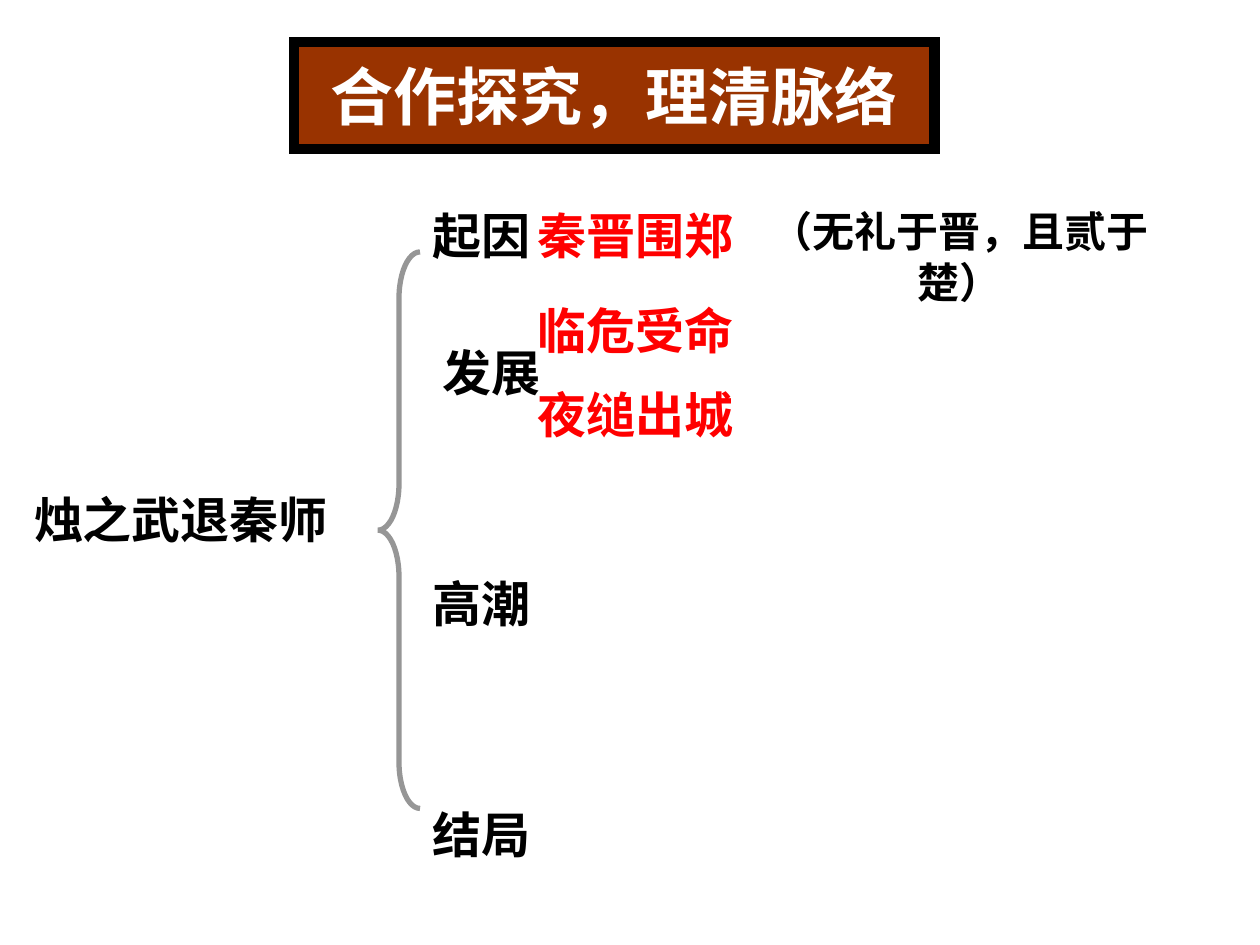
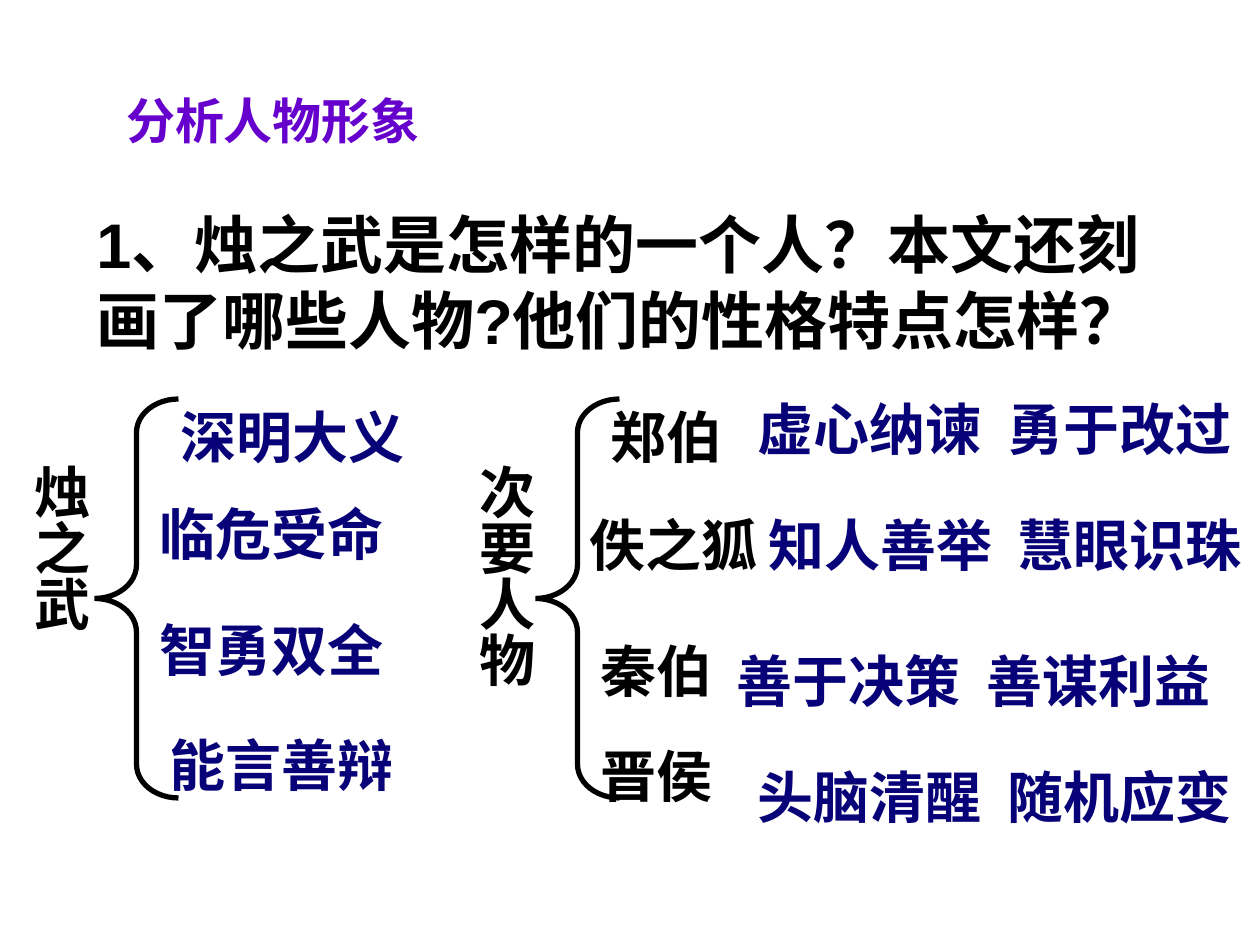
from dataclasses import dataclass, replace
from typing import NamedTuple

from lxml.etree import SubElement
from pptx import Presentation
from pptx.dml.color import RGBColor as Color
from pptx.enum.shapes import MSO_SHAPE as Shape
from pptx.enum.text import MSO_ANCHOR as Anchor, MSO_AUTO_SIZE as Fit, PP_ALIGN as Align
from pptx.oxml.ns import qn
from pptx.util import Inches, Pt

COLUMNS, ROWS = 120, 90
WIDTH, HEIGHT = Inches(10), Inches(7.5)


@dataclass(frozen=True)
class Theme:
    body_font: str = "Arial"
    title_font: str = "Noto Sans CJK SC"
    ink: str = "000000"
    paper: str = "FFFFFF"
    banner: str = "993300"
    event: str = "FF0000"
    trait: str = "080278"
    heading: str = "6600CC"
    grey: str = "969696"
    note_size: int = 24
    label_size: int = 28
    trait_size: int = 32
    title_size: int = 36
    line: int = 3
    frame: int = 6


THEME = Theme()


class Area(NamedTuple):
    """Place on the slide in grid columns and rows."""
    column: float
    row: float
    columns: float
    rows: float

    def lengths(self) -> tuple[int, int, int, int]:
        across, down = WIDTH / COLUMNS, HEIGHT / ROWS
        return (round(self.column * across), round(self.row * down),
                round(self.columns * across), round(self.rows * down))


@dataclass(frozen=True)
class Style:
    size: int
    color: str = THEME.ink
    font: str = THEME.body_font
    align: Align = Align.LEFT
    wrap: bool = True
    vertical: bool = False
    tab: float = 0
    indent: float = 0


class Label(NamedTuple):
    text: str
    area: Area
    style: Style


class Brace(NamedTuple):
    area: Area
    color: str
    curl: float


CENTERED = Style(THEME.label_size, align=Align.CENTER, wrap=False)
EVENT = replace(CENTERED, color=THEME.event)
NOTE = replace(CENTERED, size=THEME.note_size)
STORY = Style(THEME.label_size, font=THEME.title_font, indent=0.17)
TITLE = Style(THEME.title_size, THEME.paper, THEME.title_font, Align.CENTER)
HEADING = replace(CENTERED, color=THEME.heading, font=THEME.title_font)
QUESTION = Style(THEME.title_size)
NAME = Style(THEME.trait_size)
TRAIT = replace(NAME, color=THEME.trait)
TRAIT_PAIR = replace(TRAIT, tab=1.98)
GROUP = replace(NAME, vertical=True)

BANNER = Label("合作探究，理清脉络", Area(28, 4, 61, 10.2), TITLE)

PLOT_BRACE = Brace(Area(36, 24, 4, 53), THEME.grey, 1.1)
STAGES = [("起因", 40, 19), ("发展", 41, 32), ("高潮", 40, 54), ("结局", 40, 76)]
EVENTS = [("秦晋围郑", 19), ("临危受命", 28), ("夜缒出城", 36)]
PLOT_LABELS = [
    Label("烛之武退秦师", Area(0, 46, 38, 7.7), STORY),
    *(Label(text, Area(column, row, 11.7, 6.8), CENTERED)
      for text, column, row in STAGES),
    *(Label(text, Area(50, row, 21.1, 6.8), EVENT) for text, row in EVENTS),
    Label("（无礼于晋，且贰于楚）", Area(68.2, 19, 46.3, 6), NOTE),
]

CHARACTER_BRACES = [Brace(Area(column, 38, 8, 38), THEME.ink, 0.4)
                    for column in (9, 51)]
HERO_TRAITS = [("深明大义", 16, 37.7), ("临危受命", 14, 47),
               ("智勇双全", 14, 58), ("能言善辩", 15, 69)]
MINOR_NAMES = [("郑伯", 57, 37.7), ("佚之狐", 55, 48), ("秦伯", 56, 60), ("晋侯", 56, 70)]
MINOR_TRAITS = [("虚心纳谏\t勇于改过", 71, 37), ("知人善举\t慧眼识珠", 72, 48),
                ("善于决策\t善谋利益", 69, 61), ("头脑清醒\t随机应变", 71, 72)]
CHARACTER_LABELS = [
    Label("分析人物形象", Area(8, 8, 36, 8.9), HEADING),
    Label("1、烛之武是怎样的一个人？本文还刻画了哪些人物?他们的性格特点怎样？",
          Area(8, 19, 107, 15.6), QUESTION),
    Label("烛之武", Area(0.8, 43, 8.8, 32), GROUP),
    Label("次要人物", Area(43.1, 43, 8.8, 30), GROUP),
    *(Label(text, Area(column, row, width, 7.7), style)
      for items, width, style in ((HERO_TRAITS, 34, TRAIT), (MINOR_NAMES, 22, NAME),
                                  (MINOR_TRAITS, 50, TRAIT_PAIR))
      for text, column, row in items),
]


def write(shape, text: str, style: Style) -> None:
    frame = shape.text_frame
    frame.word_wrap = style.wrap
    frame.margin_left = Inches(0.1 + style.indent)
    if style.vertical:
        frame.margin_left = frame.margin_right = Inches(0.05)
        frame.margin_top = frame.margin_bottom = Inches(0.1)
        frame._txBody.bodyPr.set("vert", "eaVert")
    para = frame.paragraphs[0]
    para.add_run().text = text
    para.alignment = style.align
    properties = para._p.get_or_add_pPr()
    if style.tab:
        stops = SubElement(properties, qn("a:tabLst"))
        SubElement(stops, qn("a:tab"), pos=str(Inches(style.tab)), algn="l")
    font = para.font
    font.name, font.size, font.bold = style.font, Pt(style.size), True
    font.color.rgb = Color.from_string(style.color)
    SubElement(properties.find(qn("a:defRPr")), qn("a:ea"), typeface=style.font)


def add_label(page, label: Label) -> None:
    box = page.shapes.add_textbox(*label.area.lengths())
    box.text_frame.auto_size = Fit.SHAPE_TO_FIT_TEXT
    write(box, label.text, label.style)


def add_outlined(page, kind: Shape, area: Area, color: str, width: float):
    """Add a preset shape with a sharp-cornered outline."""
    shape = page.shapes.add_shape(kind, *area.lengths())
    shape.shadow.inherit = False
    shape.line.color.rgb = Color.from_string(color)
    shape.line.width = Pt(width)
    outline = shape._element.spPr.find(qn("a:ln"))
    SubElement(outline, qn("a:miter"), lim="800000")
    return shape


def add_banner(page, label: Label) -> None:
    banner = add_outlined(page, Shape.RECTANGLE, label.area, THEME.ink, THEME.frame)
    banner.fill.solid()
    banner.fill.fore_color.rgb = Color.from_string(THEME.banner)
    banner.text_frame.vertical_anchor = Anchor.MIDDLE
    write(banner, label.text, label.style)


def add_brace(page, brace: Brace) -> None:
    shape = add_outlined(page, Shape.LEFT_BRACE, brace.area, brace.color, THEME.line)
    shape.fill.background()
    shape.adjustments[0] = brace.curl


def add_page(deck, labels: list[Label], braces: list[Brace]):
    page = deck.slides.add_slide(deck.slide_layouts[6])
    for brace in braces:
        add_brace(page, brace)
    for label in labels:
        add_label(page, label)
    return page


def main() -> None:
    deck = Presentation()
    deck.slide_width, deck.slide_height = WIDTH, HEIGHT
    plot_page = add_page(deck, PLOT_LABELS, [PLOT_BRACE])
    add_banner(plot_page, BANNER)
    add_page(deck, CHARACTER_LABELS, CHARACTER_BRACES)
    deck.save("out.pptx")


if __name__ == "__main__":
    main()
